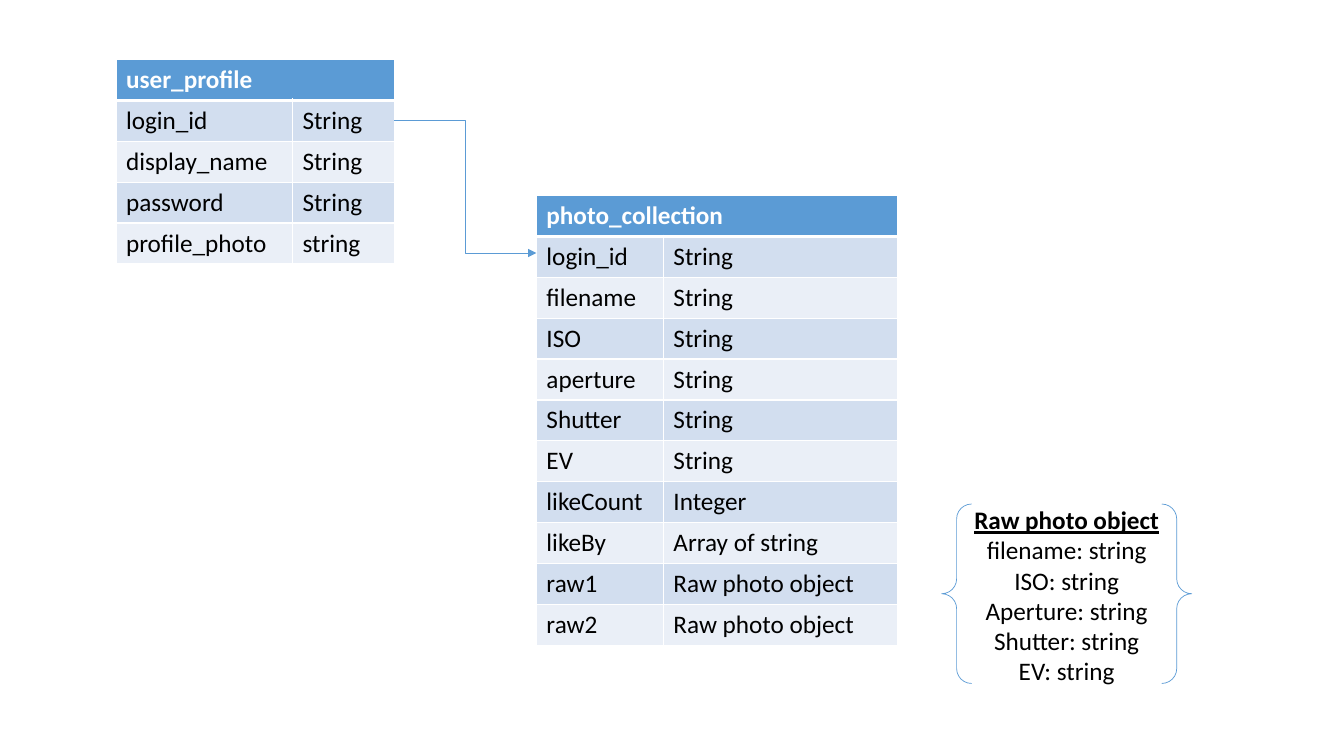
import pptx
import pptx.util
import pptx.dml.color
import pptx.enum.shapes
import pptx.enum.text
import pptx.oxml.ns
from lxml import etree

COLORS = {
    "header": "5B9BD5",
    "odd": "D2DEEF",
    "even": "EAEFF7",
    "white": "FFFFFF",
    "ink": "000000",
}
ROW_HEIGHT = 5.41

PROFILE_FIELDS = [
    ("login_id", "String"),
    ("display_name", "String"),
    ("password", "String"),
    ("profile_photo", "string"),
]
COLLECTION_FIELDS = [
    ("login_id", "String"),
    ("filename", "String"),
    ("ISO", "String"),
    ("aperture", "String"),
    ("Shutter", "String"),
    ("EV", "String"),
    ("likeCount", "Integer"),
    ("likeBy", "Array of string"),
    ("raw1", "Raw photo object"),
    ("raw2", "Raw photo object"),
]
RAW_FIELDS = ["filename: string", "ISO: string", "Aperture: string",
              "Shutter: string", "EV: string"]


def rgb(name):
    return pptx.dml.color.RGBColor.from_string(COLORS[name])


def add_element(parent, tag, **attributes):
    return etree.SubElement(parent, pptx.oxml.ns.qn(tag), attributes)


def write(paragraph, text, size=18, font="Calibri", color="ink",
          bold=False, underline=False, align=None):
    paragraph.alignment = align
    run = paragraph.add_run()
    run.text = text
    run.font.size = pptx.util.Pt(size)
    run.font.name = font
    run.font.bold = bold
    run.font.underline = underline
    run.font.color.rgb = rgb(color)


class SchemaSlide:
    def __init__(self, deck):
        self.width, self.height = deck.slide_width, deck.slide_height
        self.slide = deck.slides.add_slide(deck.slide_layouts[6])
        self.line_width = pptx.util.Pt(0.5)

    def x(self, percent):
        return round(self.width * percent / 100)

    def y(self, percent):
        return round(self.height * percent / 100)

    def outline(self, line):
        line.color.rgb = rgb("header")
        line.width = self.line_width

    def style_cell(self, cell, fill, top=1, bottom=1):
        properties = cell._tc.get_or_add_tcPr()
        for side, points in zip("LRTB", (1, 1, top, bottom)):
            border = add_element(properties, f"a:ln{side}", w=str(pptx.util.Pt(points)))
            paint = add_element(border, "a:solidFill")
            add_element(paint, "a:srgbClr", val=COLORS["white"])
        cell.fill.solid()
        cell.fill.fore_color.rgb = rgb(fill)

    def entity(self, name, fields, left, top, widths):
        count = len(fields) + 1
        table = self.slide.shapes.add_table(
            count, len(widths), self.x(left), self.y(top),
            self.x(sum(widths)), self.y(ROW_HEIGHT * count)).table
        for column, width in zip(table.columns, widths):
            column.width = self.x(width)
        for row in table.rows:
            row.height = self.y(ROW_HEIGHT)
        for cell in table.rows[0].cells:
            self.style_cell(cell, "header", bottom=3)
        heading = table.cell(0, 0)
        heading.merge(table.cell(0, len(widths) - 1))
        write(heading.text_frame.paragraphs[0], name, color="white", bold=True)
        for number, field in enumerate(fields, 1):
            for cell, text in zip(table.rows[number].cells, field):
                self.style_cell(cell, "odd" if number % 2 else "even",
                                top=3 if number == 1 else 1)
                write(cell.text_frame.paragraphs[0], text)

    def relation(self, start, end):
        link = self.slide.shapes.add_connector(
            pptx.enum.shapes.MSO_CONNECTOR.ELBOW,
            self.x(start[0]), self.y(start[1]), self.x(end[0]), self.y(end[1]))
        self.outline(link.line)
        add_element(link.line._get_or_add_ln(), "a:tailEnd", type="triangle")
        add_element(link._element.spPr, "a:effectLst")

    def braced_object(self, name, fields, left, top, width, height):
        braces = self.slide.shapes.add_shape(
            pptx.enum.shapes.MSO_SHAPE.DOUBLE_BRACE,
            self.x(left), self.y(top), self.x(width), self.y(height))
        braces.shadow.inherit = False
        braces.fill.background()
        self.outline(braces.line)
        frame = braces.text_frame
        frame.word_wrap = True
        frame.vertical_anchor = pptx.enum.text.MSO_ANCHOR.MIDDLE
        frame.margin_top = 0
        frame.margin_bottom = pptx.util.Inches(0.12)
        center = pptx.enum.text.PP_ALIGN.CENTER
        write(frame.paragraphs[0], name, bold=True, underline=True, align=center)
        for field in fields:
            write(frame.add_paragraph(), field, align=center)


def main():
    deck = pptx.Presentation()
    deck.slide_width = pptx.util.Inches(13.33)
    deck.slide_height = pptx.util.Inches(7.5)
    schema = SchemaSlide(deck)

    profile_left, profile_top, profile_widths = 8.63, 7.87, (13.13, 7.58)
    collection_left = 39.91
    schema.entity("user_profile", PROFILE_FIELDS,
                  profile_left, profile_top, profile_widths)
    schema.entity("photo_collection", COLLECTION_FIELDS,
                  collection_left, 25.87, (9.45, 17.4))
    schema.relation(
        (profile_left + sum(profile_widths), profile_top + 1.5 * ROW_HEIGHT),
        (collection_left, 33.47))
    schema.braced_object("Raw photo object", RAW_FIELDS, 70.07, 66.67, 18.6, 23.73)
    deck.save("out.pptx")


if __name__ == "__main__":
    main()
